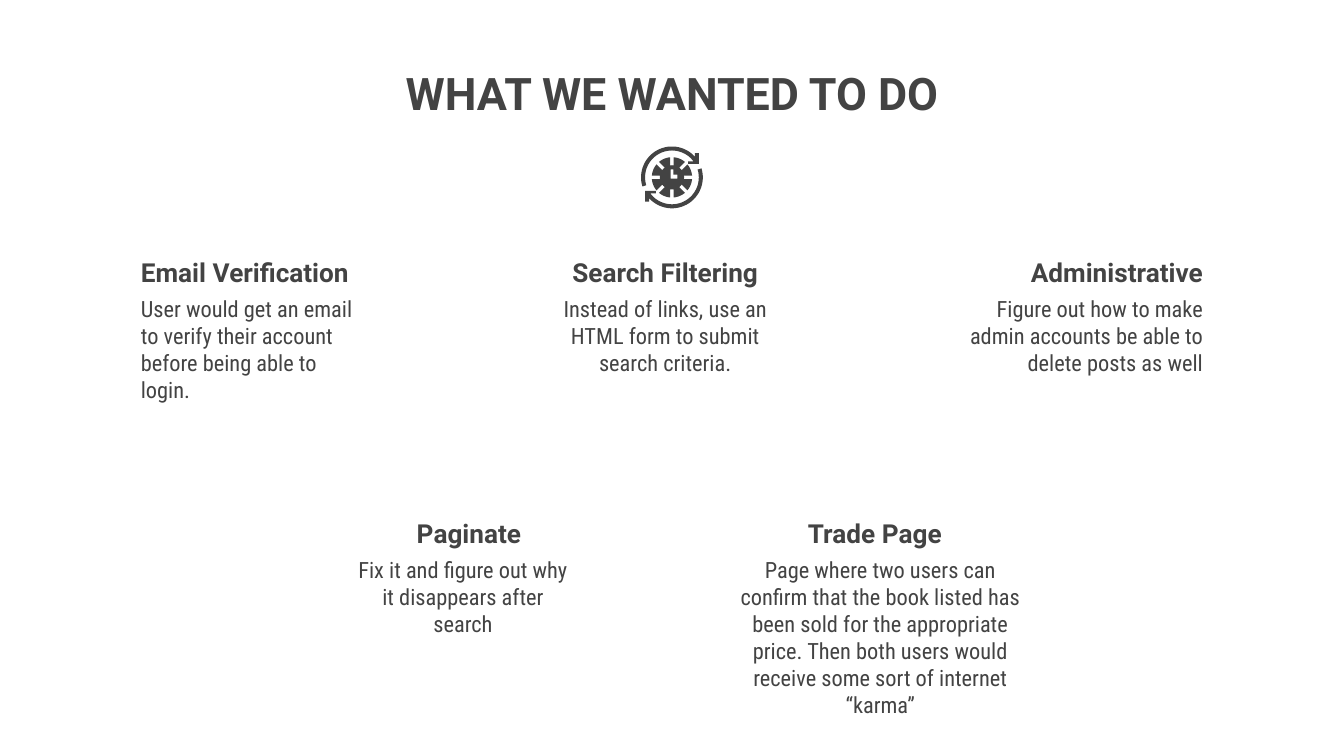
from math import cos, sin, radians
from pptx import Presentation
from pptx.dml.color import RGBColor
from pptx.enum.text import MSO_ANCHOR, PP_ALIGN
from pptx.util import Inches, Pt

COLORS = {"ink": "434343", "paper": "FFFFFF"}
LEFT, CENTER, RIGHT = PP_ALIGN.LEFT, PP_ALIGN.CENTER, PP_ALIGN.RIGHT
SLIDE_W = 10
SLIDE_H = SLIDE_W * 9 / 16

TITLE = "WHAT WE WANTED TO DO"
# Each row: top, then (heading, text, alignment, heading left, text left, text width)
ROWS = [
    (1.77, [
        ("Email Verification",
         "User would get an email to verify their account before being able to login.",
         LEFT, 0.95, 0.95, 1.87),
        ("Search Filtering",
         "Instead of links, use an HTML form to submit search criteria.",
         CENTER, 3.97, 3.97, 1.96),
        ("Administrative",
         "Figure out how to make admin accounts be able to delete posts as well",
         RIGHT, 7.09, 7.09, 1.96),
    ]),
    (3.71, [
        ("Paginate",
         "Fix it and figure out why it disappears after search",
         CENTER, 2.51, 2.51, 1.87),
        ("Trade Page",
         "Page where two users can confirm that the book listed has been sold for the "
         "appropriate price. Then both users would receive some sort of internet “karma”",
         CENTER, 5.53, 5.34, 2.42),
    ]),
]
HEADING_W, HEADING_H = 1.96, 0.47
TEXT_DROP, TEXT_H = 0.33, 1.1

# Clock icon, in inches from its centre
ICON_X, ICON_Y = 5, 1.32
RING_OUT, RING_IN = 0.23, 0.2
ARROW_HEAD = [(0.17, -0.15), (0.17, -0.18), (0.2, -0.18), (0.2, -0.1),
              (0.12, -0.1), (0.12, -0.12), (0.16, -0.12)]
FACE_R, NOTCH_R, NOTCH_HALF = 0.15, 0.09, 5
HANDS = [(-0.01, -0.06), (0.01, -0.06), (0.01, -0.02),
         (0.04, -0.02), (0.04, 0.01), (-0.01, 0.01)]

prs = Presentation()
prs.slide_width, prs.slide_height = Inches(SLIDE_W), Inches(SLIDE_H)
s = prs.slides.add_slide(prs.slide_layouts[6])
s.background.fill.solid()
s.background.fill.fore_color.rgb = RGBColor.from_string(COLORS["paper"])


def add_text(text, x, y, w, h, size=12, font="Roboto Condensed", bold=False,
             align=CENTER, anchor=MSO_ANCHOR.TOP):
    tf = s.shapes.add_textbox(Inches(x), Inches(y), Inches(w), Inches(h)).text_frame
    tf.word_wrap = True
    tf.vertical_anchor = anchor
    tf.margin_left = tf.margin_right = tf.margin_top = tf.margin_bottom = Inches(0.1)
    p = tf.paragraphs[0]
    p.alignment = align
    r = p.add_run()
    r.text = text
    r.font.size, r.font.name, r.font.bold = Pt(size), font, bold
    r.font.color.rgb = RGBColor.from_string(COLORS["ink"])


def arc(radius, start, end, steps=30):
    angles = [radians(start + (end - start) * i / steps) for i in range(steps + 1)]
    return [(radius * cos(a), radius * sin(a)) for a in angles]


def add_outline(*contours):
    placed = [[(Inches(ICON_X + x), Inches(ICON_Y + y)) for x, y in c] for c in contours]
    builder = s.shapes.build_freeform(*placed[0][0], scale=1.0)
    builder.add_line_segments(placed[0][1:], close=True)
    for contour in placed[1:]:
        builder.move_to(*contour[0])
        builder.add_line_segments(contour[1:], close=True)
    sp = builder.convert_to_shape()
    sp.shadow.inherit = False
    sp.fill.solid()
    sp.fill.fore_color.rgb = RGBColor.from_string(COLORS["ink"])
    sp.line.fill.background()


# Title
add_text(TITLE, 2.15, 0.39, 5.7, 1.03, size=24, font="Roboto", bold=True)

# Headings and their texts
for top, items in ROWS:
    for heading, text, align, heading_x, text_x, text_w in items:
        add_text(heading, heading_x, top, HEADING_W, HEADING_H, size=14, font="Roboto",
                 bold=True, align=align, anchor=MSO_ANCHOR.BOTTOM)
        add_text(text, text_x, top + TEXT_DROP, text_w, TEXT_H, align=align)

# Two ring arrows, the lower one turned by half a circle
arrow = arc(RING_OUT, 163, 320) + ARROW_HEAD + arc(RING_IN, 324, 163)
for turn in (-1, 1):
    add_outline([(turn * x, turn * y) for x, y in arrow])

# Clock face with eight notches and cut-out hands
face = []
notch_half_inner = NOTCH_HALF * FACE_R / NOTCH_R
for mark in range(0, 360, 45):
    face += arc(NOTCH_R, mark - notch_half_inner, mark + notch_half_inner, 4)
    face += arc(FACE_R, mark + NOTCH_HALF, mark + 45 - NOTCH_HALF, 8)
add_outline(face, HANDS)

prs.save("out.pptx")
